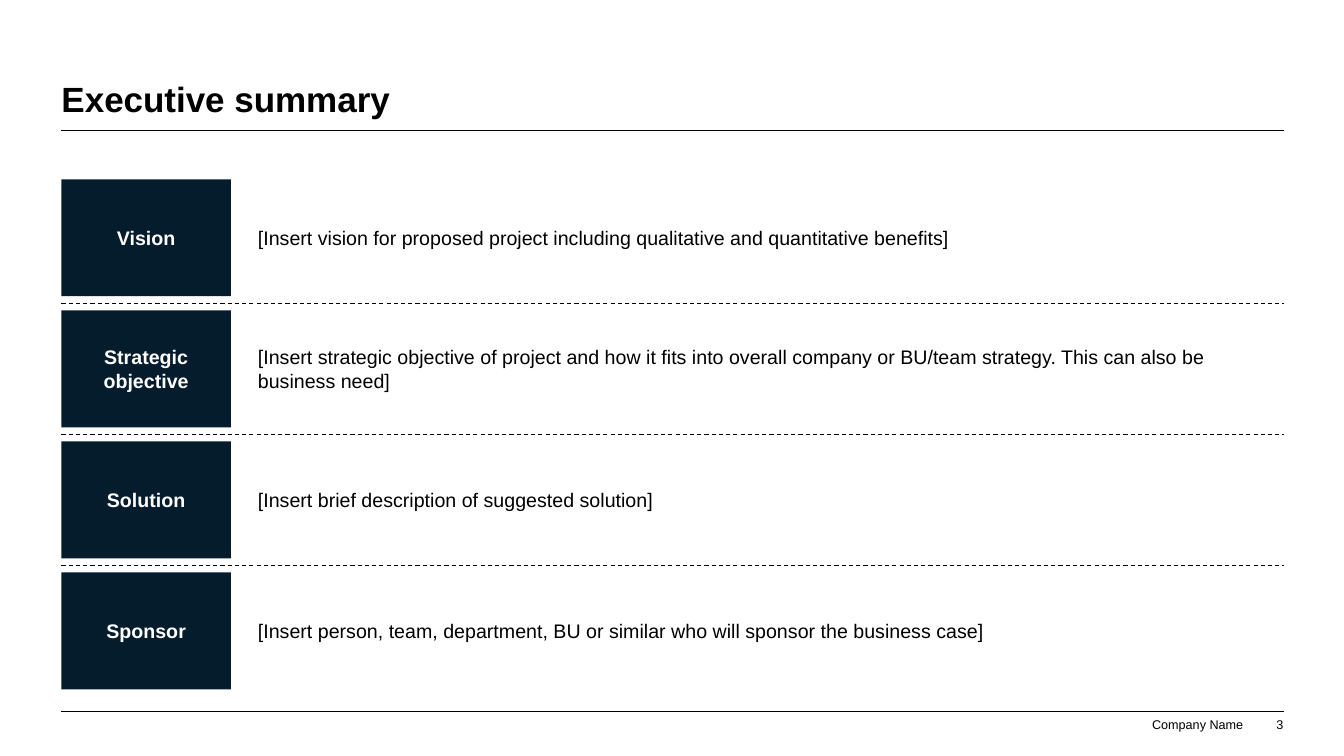
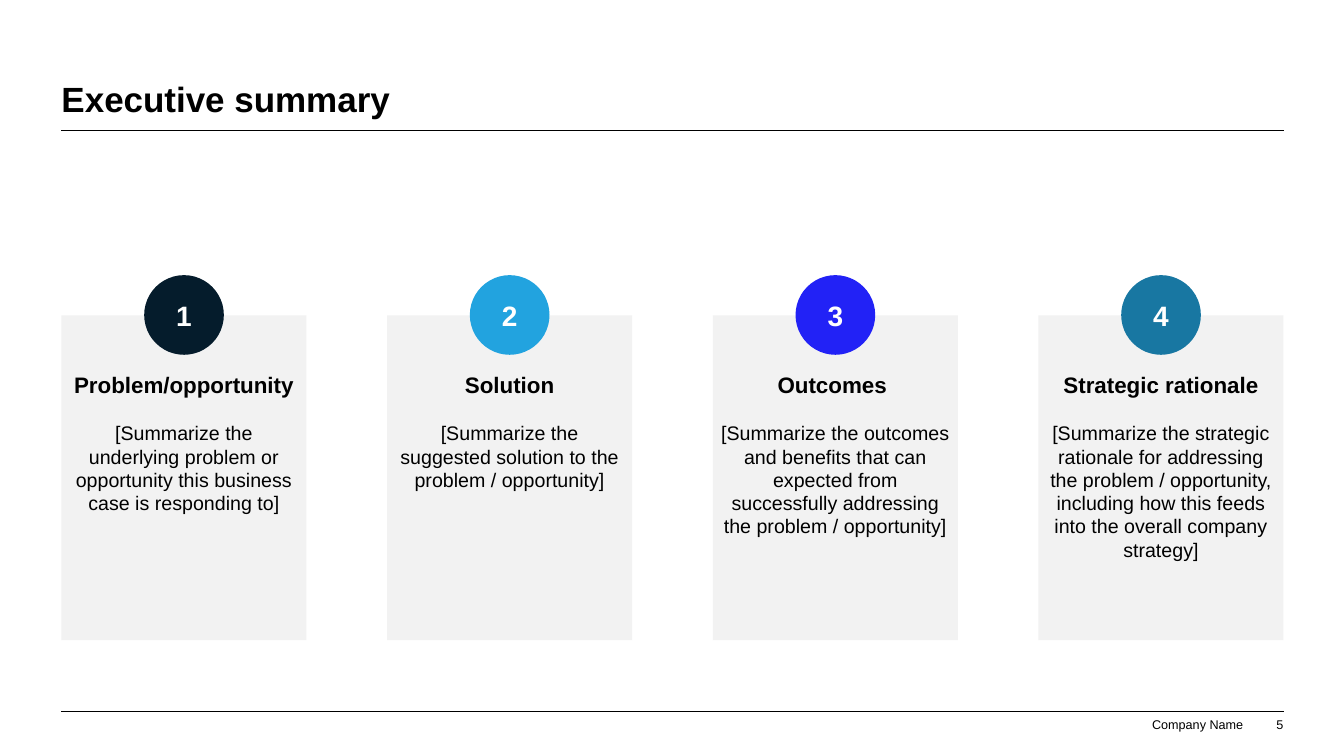
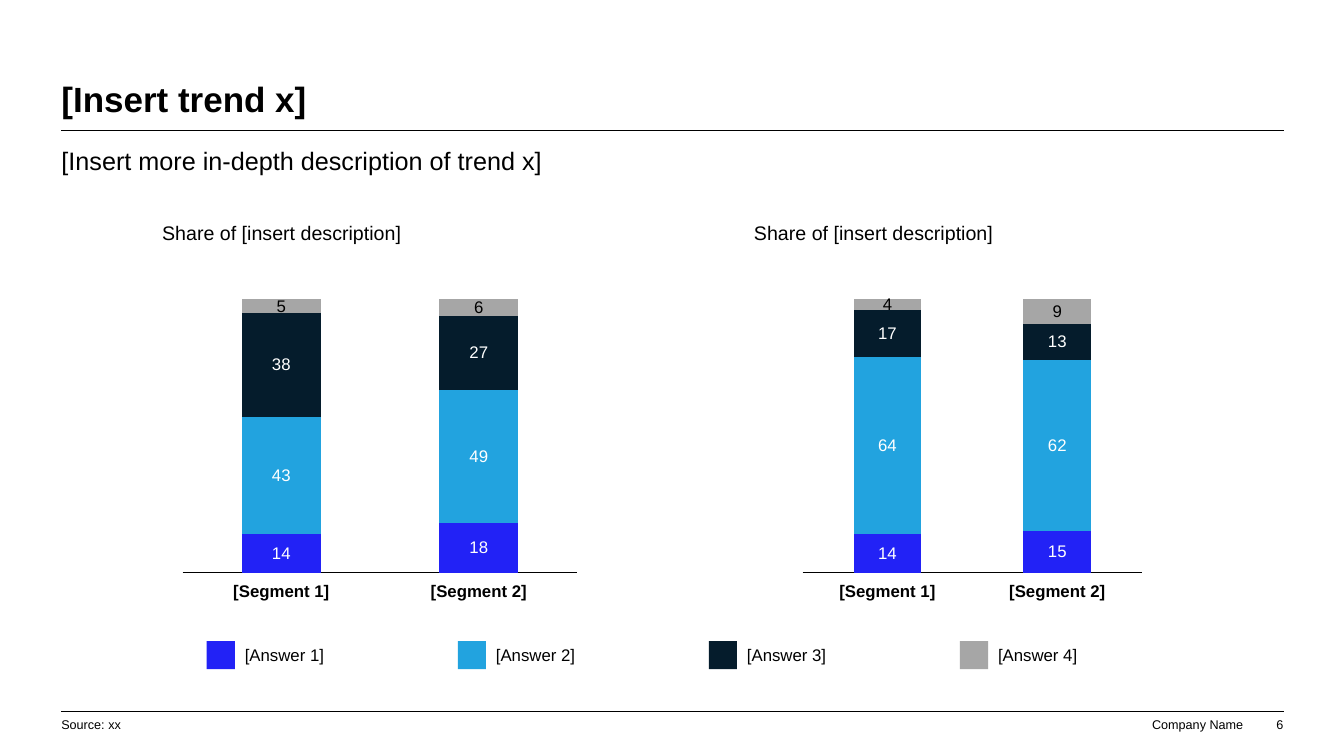
from dataclasses import dataclass
from typing import NamedTuple, Optional

from lxml import etree
from pptx import Presentation
from pptx.chart.data import CategoryChartData
from pptx.dml.color import RGBColor
from pptx.enum.chart import XL_CHART_TYPE, XL_LABEL_POSITION, XL_TICK_LABEL_POSITION, XL_TICK_MARK
from pptx.enum.dml import MSO_LINE
from pptx.enum.shapes import MSO_CONNECTOR, MSO_SHAPE
from pptx.enum.text import MSO_ANCHOR, MSO_AUTO_SIZE, PP_ALIGN
from pptx.oxml.ns import qn
from pptx.util import Inches, Pt

LEFT, MID, RIGHT = PP_ALIGN.LEFT, PP_ALIGN.CENTER, PP_ALIGN.RIGHT
TOP, CENTER, BASE = MSO_ANCHOR.TOP, MSO_ANCHOR.MIDDLE, MSO_ANCHOR.BOTTOM
RECT, OVAL = MSO_SHAPE.RECTANGLE, MSO_SHAPE.OVAL
STACK = XL_CHART_TYPE.COLUMN_STACKED_100
INNER = XL_LABEL_POSITION.CENTER
LOW = XL_TICK_LABEL_POSITION.LOW
BARE = XL_TICK_MARK.NONE
DASH = MSO_LINE.DASH
COVER, TITLED = 0, 5


@dataclass(frozen=True)
class Theme:
    font: str = "Arial"
    black: str = "000000"
    white: str = "FFFFFF"
    navy: str = "051C2C"
    sky: str = "22A3DF"
    blue: str = "2222F6"
    teal: str = "1877A2"
    gray: str = "A6A6A6"
    ice: str = "A2D5EC"
    pale: str = "F2F2F2"
    title: float = 25
    badge: float = 20
    lead: float = 18
    head: float = 16
    body: float = 14
    label: float = 12
    note: float = 9


T = Theme()
WIDE, HIGH = 13.33, 7.5
EDGE, SPAN = 0.61, 12.12
FLUSH = (0, 0, 0, 0)
PAD = (0.1, 0.05, 0.1, 0.05)


class Box(NamedTuple):
    x: float
    y: float
    w: float
    h: float


class Style(NamedTuple):
    size: float
    color: str = T.black
    bold: bool = False
    align: PP_ALIGN = LEFT
    before: float = 0
    after: float = 0
    line: Optional[float] = None


class Row(NamedTuple):
    name: str
    text: str


class Card(NamedTuple):
    name: str
    text: str
    color: str


class Answer(NamedTuple):
    name: str
    fill: str
    ink: str


class Panel(NamedTuple):
    box: Box
    head: float
    vals: tuple


def steps(start: float, size: float, gap: float, count: int) -> list:
    """Starting points of equal cells along one axis."""
    return [start + i * (size + gap) for i in range(count)]


def inch(box: Box) -> list:
    return [Inches(v) for v in box]


def rgb(code: str) -> RGBColor:
    return RGBColor.from_string(code)


def ink(font, style: Style) -> None:
    font.name, font.size, font.bold = T.font, Pt(style.size), style.bold
    font.color.rgb = rgb(style.color)


def paint(item, color: str) -> None:
    item.fill.solid()
    item.fill.fore_color.rgb = rgb(color)


def write(shape, parts: list, anchor=TOP, pad=PAD) -> None:
    """Fill a shape with one paragraph per (text, style) pair."""
    frame = shape.text_frame
    frame.word_wrap, frame.auto_size = True, MSO_AUTO_SIZE.NONE
    frame.vertical_anchor = anchor
    (frame.margin_left, frame.margin_top,
     frame.margin_right, frame.margin_bottom) = [Inches(v) for v in pad]
    for i, (text, style) in enumerate(parts):
        par = frame.add_paragraph() if i else frame.paragraphs[0]
        par.alignment = style.align
        par.space_before, par.space_after = Pt(style.before), Pt(style.after)
        if style.line:
            par.line_spacing = Pt(style.line)
        run = par.add_run()
        run.text = text
        ink(run.font, style)


def label(slide, box: Box, text: str, style: Style, anchor=TOP, pad=PAD) -> None:
    write(slide.shapes.add_textbox(*inch(box)), [(text, style)], anchor, pad)


def block(slide, kind, box: Box, color: str):
    shape = slide.shapes.add_shape(kind, *inch(box))
    shape.shadow.inherit = False
    paint(shape, color)
    shape.line.fill.background()
    return shape


def rule(slide, y: float, width: float = 0.5, dash=None) -> None:
    """Draw a line across the content width."""
    line = slide.shapes.add_connector(
        MSO_CONNECTOR.STRAIGHT, Inches(EDGE), Inches(y), Inches(EDGE + SPAN), Inches(y))
    line.line.color.rgb = rgb(T.black)
    line.line.width = Pt(width)
    if dash:
        line.line.dash_style = dash
    etree.SubElement(line.element.spPr, qn("a:effectLst"))


def place(shape, box: Box) -> None:
    shape.left, shape.top, shape.width, shape.height = inch(box)


def page(deck, kind: int, title: str, number: int):
    """Add a slide with the shared title, rules and footer."""
    slide = deck.slides.add_slide(deck.slide_layouts[kind])
    head = slide.shapes.title
    place(head, Box(EDGE, 0.39, SPAN, 0.8))
    paint(head, T.white)
    write(head, [(title, Style(T.title, bold=True))], BASE, FLUSH)
    for y in (1.29, 7.06):
        rule(slide, y)
    note = Style(T.note, align=RIGHT)
    label(slide, Box(11.32, 7.11, 1.01, 0.15), "Company Name", note, BASE, FLUSH)
    label(slide, Box(12.37, 7.11, 0.36, 0.15), str(number), note, BASE, FLUSH)
    return slide


ROWS = [
    Row("Vision", "[Insert vision for proposed project including qualitative and quantitative benefits]"),
    Row("Strategic objective", "[Insert strategic objective of project and how it fits into overall "
        "company or BU/team strategy. This can also be business need]"),
    Row("Solution", "[Insert brief description of suggested solution]"),
    Row("Sponsor", "[Insert person, team, department, BU or similar who will sponsor the business case]"),
]


def goals(deck) -> None:
    slide = page(deck, TITLED, "Executive summary", 3)
    high, gap, side = 1.16, 0.14, 2.46
    name = Style(T.body, T.white, True, MID, 3, 3)
    text = Style(T.body, before=3, after=3)
    for i, (row, y) in enumerate(zip(ROWS, steps(1.78, high, gap, len(ROWS)))):
        if i:
            rule(slide, y - gap / 2, 0.75, DASH)
        tile = block(slide, RECT, Box(EDGE, y, 1.68, high), T.navy)
        write(tile, [(row.name, name)], CENTER)
        label(slide, Box(side, y, EDGE + SPAN - side, high), row.text, text, CENTER)


CARDS = [
    Card("Problem/opportunity", "[Summarize the underlying problem or opportunity this "
         "business case is responding to]", T.navy),
    Card("Solution", "[Summarize the suggested solution to the problem / opportunity]", T.sky),
    Card("Outcomes ", "[Summarize the outcomes and benefits that can expected from "
         "successfully addressing the problem / opportunity]", T.blue),
    Card("Strategic rationale", "[Summarize the strategic rationale for addressing the problem / "
         "opportunity, including how this feeds into the overall company strategy]", T.teal),
]


def cards(deck) -> None:
    slide = page(deck, TITLED, "Executive summary", 5)
    wide, top, disc, line = 2.43, 3.13, 0.79, 16.6
    gap = (SPAN - len(CARDS) * wide) / (len(CARDS) - 1)
    head = Style(T.head, bold=True, align=MID, line=line)
    text = Style(T.body, align=MID, before=line, line=line)
    mark = Style(T.badge, T.white, True, MID)
    for i, (card, x) in enumerate(zip(CARDS, steps(EDGE, wide, gap, len(CARDS))), 1):
        base = block(slide, RECT, Box(x, top, wide, 3.22), T.pale)
        write(base, [(card.name, head), (card.text, text)], TOP, (0.08, 0.59, 0.08, 0.12))
        spot = Box(x + (wide - disc) / 2, top - 0.4, disc, disc)
        write(block(slide, OVAL, spot, card.color), [(str(i), mark)], CENTER, (0.04, 0.02, 0.04, 0.02))


ANSWERS = [
    Answer("[Answer 1]", T.blue, T.white),
    Answer("[Answer 2]", T.sky, T.white),
    Answer("[Answer 3]", T.navy, T.white),
    Answer("[Answer 4]", T.gray, T.black),
]
SPARE = Answer("", T.ice, T.black)
PANELS = [
    Panel(Box(1.73, 2.91, 4.08, 3.05), 1.51, ((14, 18), (43, 49), (38, 27), (5, 6))),
    Panel(Box(7.89, 2.91, 3.51, 3.05), 7.38,
          ((14, 15), (64, 62), (17, 13), (4, 9), (None, None))),
]


def frame(chart) -> None:
    """Fix the inner plot area as shares of the chart."""
    area = chart.element.find(".//" + qn("c:plotArea"))
    for old in area.findall(qn("c:layout")):
        area.remove(old)
    layout = etree.Element(qn("c:layout"))
    area.insert(0, layout)
    manual = etree.SubElement(layout, qn("c:manualLayout"))
    for tag, val in (("layoutTarget", "inner"), ("xMode", "edge"), ("yMode", "edge"),
                     ("x", "0.02"), ("y", "0.02"), ("w", "0.96"), ("h", "0.89")):
        etree.SubElement(manual, qn("c:" + tag)).set("val", val)
    for offset in area.iter(qn("c:lblOffset")):
        offset.set("val", "0")


def graph(slide, panel: Panel) -> None:
    data = CategoryChartData()
    data.categories = ["[Segment 1]", "[Segment 2]"]
    for i, vals in enumerate(panel.vals, 1):
        data.add_series(f"Series {i}", vals)
    chart = slide.shapes.add_chart(STACK, *inch(panel.box), data).chart
    chart.has_title = chart.has_legend = False
    ink(chart.font, Style(T.label))
    frame(chart)
    chart.value_axis.visible = False
    chart.value_axis.has_major_gridlines = False
    axis = chart.category_axis
    axis.major_tick_mark = axis.minor_tick_mark = BARE
    axis.tick_label_position = LOW
    axis.format.line.color.rgb = rgb(T.black)
    axis.format.line.width = Pt(0.75)
    ink(axis.tick_labels.font, Style(T.label, bold=True))
    plot = chart.plots[0]
    plot.gap_width, plot.overlap, plot.vary_by_categories = 150, 100, False
    for answer, series in zip([*ANSWERS, SPARE], plot.series):
        paint(series.format, answer.fill)
        tags = series.data_labels
        tags.show_value, tags.position = True, INNER
        ink(tags.font, Style(T.label, answer.ink))


def trend(deck) -> None:
    slide = page(deck, COVER, "[Insert trend x]", 6)
    lead = slide.placeholders[1]
    place(lead, Box(EDGE, 1.44, SPAN, 0.3))
    write(lead, [("[Insert more in-depth description of trend x]",
                  Style(T.lead, before=3, after=3))], TOP, FLUSH)
    for panel in PANELS:
        label(slide, Box(panel.head, 2.14, 4.53, 0.34), "Share of [insert description]", Style(T.body))
        graph(slide, panel)
    key = 0.28
    for answer, x in zip(ANSWERS, steps(2.05, key, 2.21, len(ANSWERS))):
        block(slide, RECT, Box(x, 6.36, key, key), answer.fill)
        label(slide, Box(x + key, 6.35, 2.12, 0.3), answer.name, Style(T.label))
    label(slide, Box(0.51, 6.99, 7.98, 0.4), "Source: xx", Style(T.note), CENTER)


def main() -> None:
    deck = Presentation()
    deck.slide_width, deck.slide_height = Inches(WIDE), Inches(HIGH)
    for build in (goals, cards, trend):
        build(deck)
    deck.save("out.pptx")


if __name__ == "__main__":
    main()
